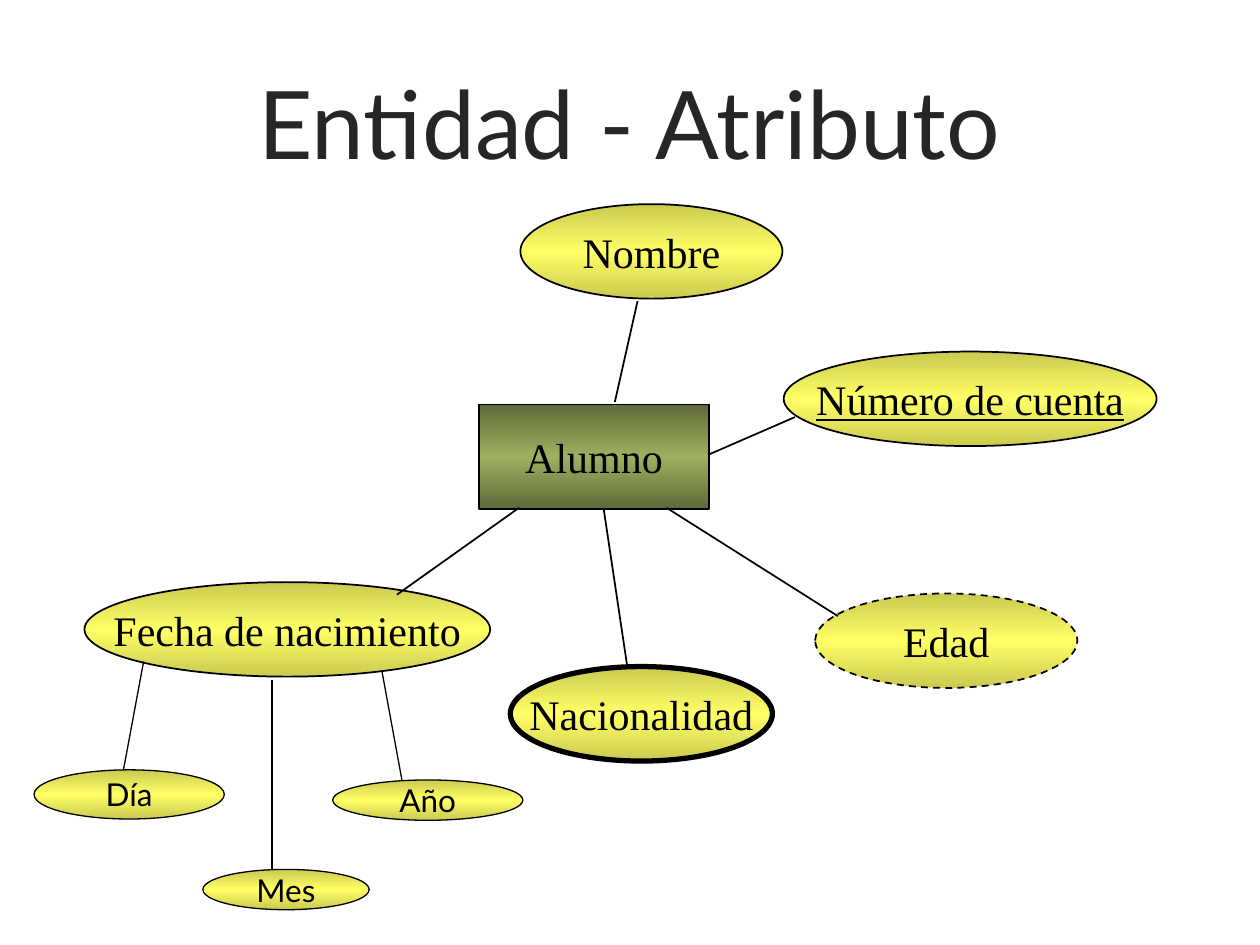
import pptx
import pptx.util
import pptx.dml.color
import pptx.enum.dml
import pptx.enum.shapes
import pptx.enum.text
import pptx.oxml
import pptx.oxml.ns

Inches = pptx.util.Inches
Pt = pptx.util.Pt
MSO_SHAPE = pptx.enum.shapes.MSO_SHAPE
DASH = pptx.enum.dml.MSO_LINE.DASH

COLORS = {
    "title": "262626",
    "ink": "000000",
    "entity_edge": "5F6A3A",
    "entity_mid": "9EB060",
    "attribute_edge": "CACA51",
    "attribute_mid": "FFFF66",
}

ATTRIBUTES = [
    ("Fecha de nacimiento", (0.67, 4.62, 3.22, 0.75), {}),
    ("Número de cuenta", (6.22, 2.79, 2.96, 0.75), {"underline": True}),
    ("Edad", (6.47, 4.71, 2.08, 0.75), {"dash": DASH}),
    ("Nombre", (4.13, 1.62, 2.08, 0.75), {}),
    ("Nacionalidad", (4.05, 5.29, 2.08, 0.75), {"weight": 3}),
]
DATE_PARTS = [
    ("Año", (2.64, 6.19, 1.51, 0.32)),
    ("Mes", (1.61, 6.9, 1.32, 0.32)),
    ("Día", (0.27, 6.11, 1.51, 0.39)),
]
ENTITY_LINKS = [
    (3.15, 4.72, 4.12, 4.03),
    (6.65, 4.89, 5.29, 4.03),
    (6.31, 3.31, 5.62, 3.61),
    (5.06, 2.39, 4.88, 3.19),
    (4.98, 5.3, 4.79, 4.03),
]
DATE_LINKS = [
    (1.14, 5.25, 0.98, 6.11),
    (2.16, 5.4, 2.16, 6.9),
    (3.03, 5.32, 3.19, 6.19),
]


def rgb(name):
    return pptx.dml.color.RGBColor.from_string(COLORS[name])


def write_text(tf, text, size=24, font="Times New Roman", color="ink",
               underline=None, wrap=False):
    tf.word_wrap = wrap
    tf.vertical_anchor = pptx.enum.text.MSO_ANCHOR.MIDDLE
    p = tf.paragraphs[0]
    p.alignment = pptx.enum.text.PP_ALIGN.CENTER
    r = p.add_run()
    r.text = text
    r.font.size = Pt(size)
    r.font.name = font
    r.font.underline = underline
    r.font.color.rgb = rgb(color)


def fill_gradient(sp, kind):
    sp.fill.gradient()
    sp.fill.gradient_angle = 270
    stops = sp.fill._fill._gradFill.find(pptx.oxml.ns.qn("a:gsLst"))
    for stop in list(stops):
        stops.remove(stop)
    for pos, part in ((0, "edge"), (50000, "mid"), (100000, "edge")):
        stops.append(pptx.oxml.parse_xml(
            f'<a:gs {pptx.oxml.ns.nsdecls("a")} pos="{pos}">'
            f'<a:srgbClr val="{COLORS[f"{kind}_{part}"]}"/></a:gs>'))


def add_node(s, text, box, shape=MSO_SHAPE.OVAL, kind="attribute",
             weight=1, dash=None, **text_format):
    sp = s.shapes.add_shape(shape, *map(Inches, box))
    sp.shadow.inherit = False
    fill_gradient(sp, kind)
    sp.line.color.rgb = rgb("ink")
    sp.line.width = Pt(weight)
    if dash:
        sp.line.dash_style = dash
    write_text(sp.text_frame, text, **text_format)


def add_link(s, ends, weight=1):
    link = s.shapes.add_connector(
        pptx.enum.shapes.MSO_CONNECTOR.STRAIGHT, *map(Inches, ends))
    link.line.color.rgb = rgb("ink")
    link.line.width = Pt(weight)
    link._element.spPr.append(pptx.oxml.parse_xml(
        f'<a:effectLst {pptx.oxml.ns.nsdecls("a")}/>'))


def add_title(s, text):
    sp = s.shapes.title
    sp.left, sp.top, sp.width, sp.height = map(Inches, (0.79, 0.34, 8.41, 1.25))
    write_text(sp.text_frame, text, size=54, font="Lato", color="title", wrap=True)


def main():
    prs = pptx.Presentation()
    prs.slide_width, prs.slide_height = Inches(10), Inches(7.5)
    s = prs.slides.add_slide(prs.slide_layouts[5])
    add_title(s, "Entidad - Atributo")
    add_node(s, "Alumno", (3.8, 3.21, 1.83, 0.83),
             shape=MSO_SHAPE.RECTANGLE, kind="entity")
    for text, box, style in ATTRIBUTES:
        add_node(s, text, box, **style)
    for ends in ENTITY_LINKS:
        add_link(s, ends)
    for text, box in DATE_PARTS:
        add_node(s, text, box, weight=0.75, size=18, font="Lato")
    for ends in DATE_LINKS:
        add_link(s, ends, weight=0.75)
    prs.save("out.pptx")


main()
